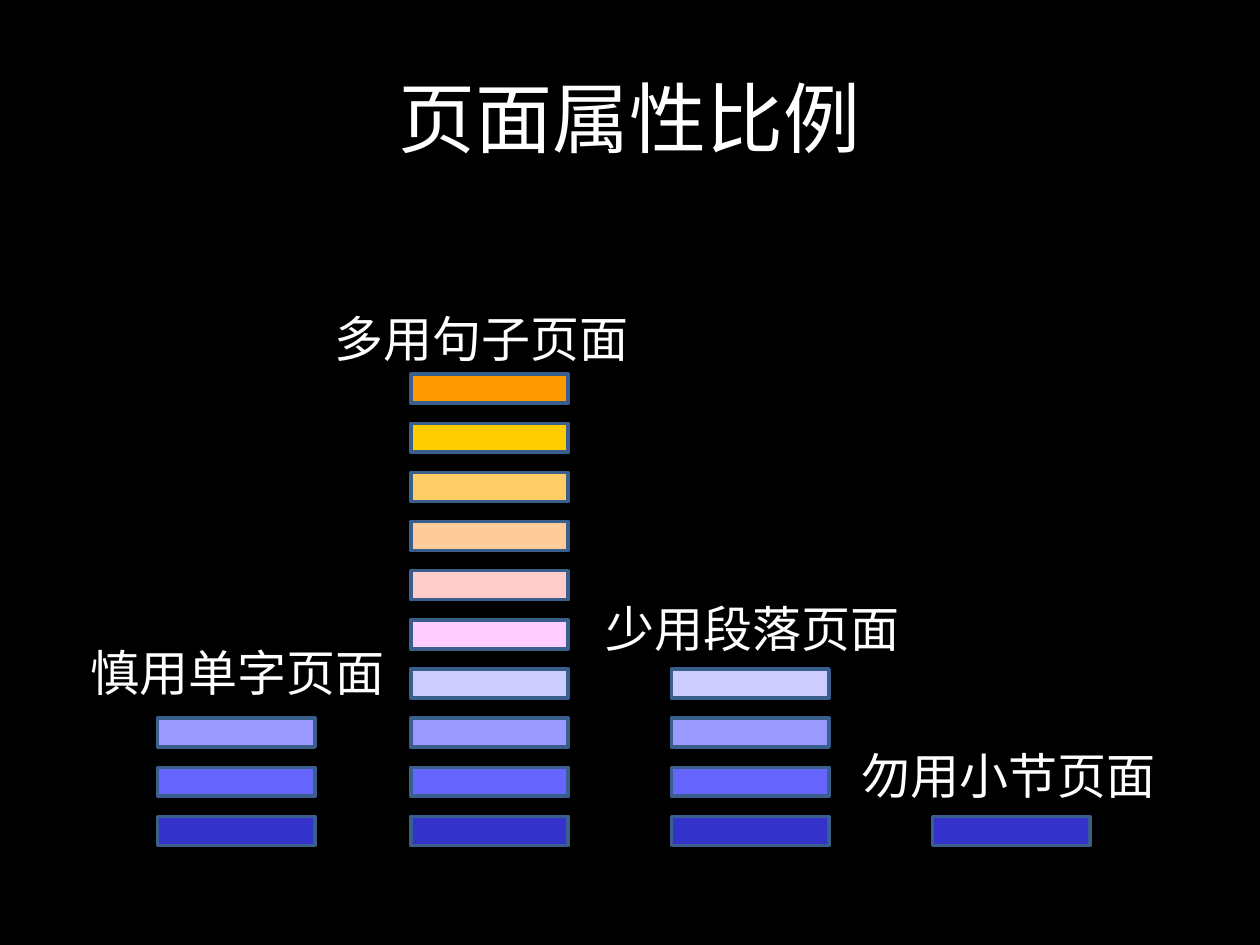
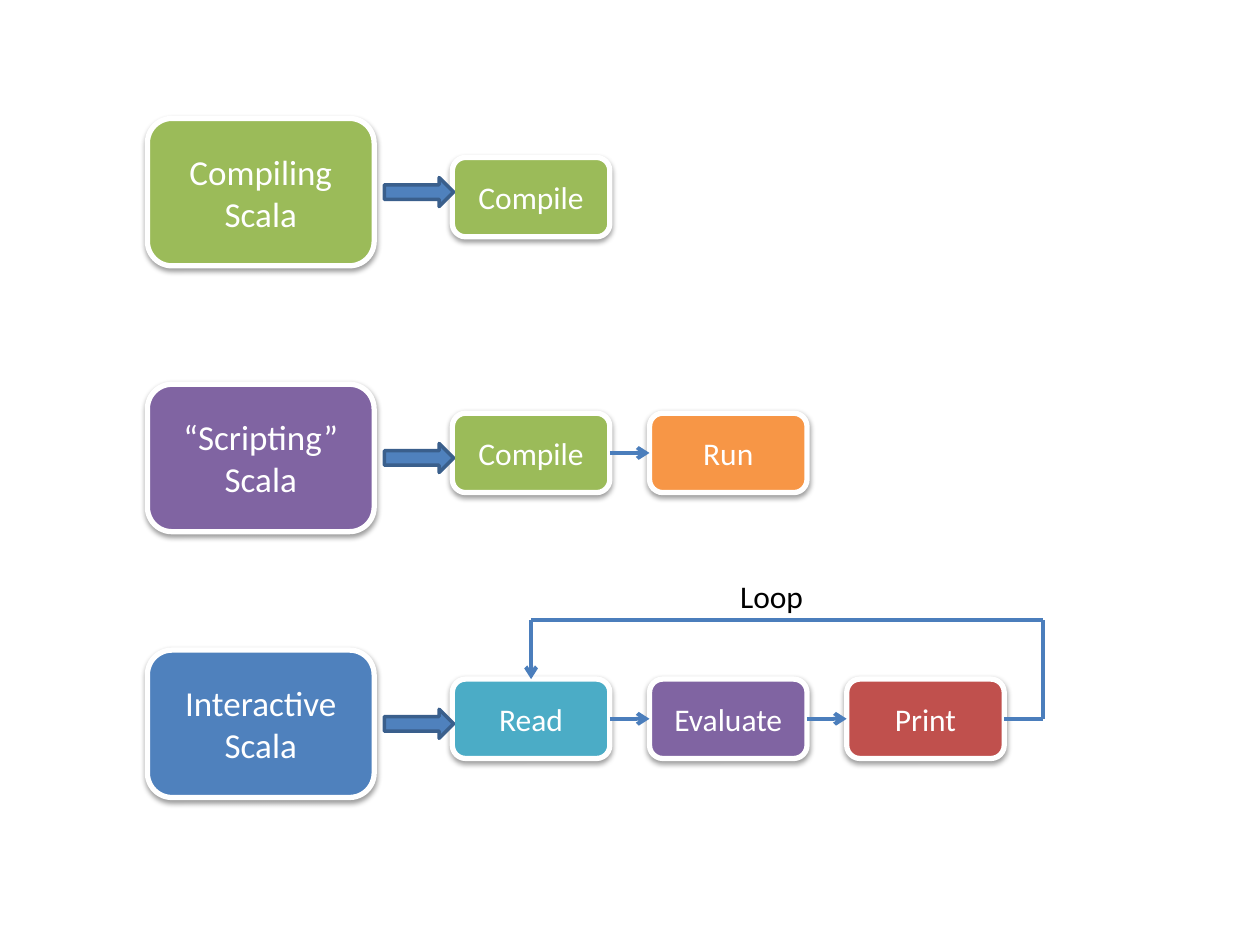
from itertools import pairwise

from lxml import etree
from pptx import Presentation
from pptx.dml.color import RGBColor
from pptx.enum import shapes, text
from pptx.oxml import ns, parse_xml
from pptx.util import Inches, Pt

BLACK = RGBColor(0x00, 0x00, 0x00)
WHITE = RGBColor(0xFF, 0xFF, 0xFF)
OUTLINE = RGBColor(0x3A, 0x5F, 0x8C)
CONNECTOR = RGBColor(0x4B, 0x7E, 0xBC)
BLUE = RGBColor(0x4F, 0x81, 0xBD)
GREEN = RGBColor(0x9B, 0xBB, 0x59)
PURPLE = RGBColor(0x80, 0x64, 0xA2)
ORANGE = RGBColor(0xF7, 0x96, 0x46)
TEAL = RGBColor(0x4B, 0xAC, 0xC6)
RED = RGBColor(0xC0, 0x50, 0x4D)
# Bar colours from the bottom of a stack to its top
BAR_COLOURS = [RGBColor.from_string(h) for h in (
    "3333CC", "6666FF", "9999FF", "CCCCFF", "FFCCFF",
    "FFCCCC", "FFCC99", "FFCC66", "FFCC00", "FF9900")]

LATIN = "Calibri"
CHINESE = "Noto Sans CJK SC"
BAR_W, BAR_H, BAR_PITCH = 1.25, 0.23, 0.39
MODE_W, MODE_H = 1.8, 1.17
STEP_W, STEP_H, STEP_PITCH = 1.25, 0.63, 1.565

SHADOW = f"""<a:effectLst {ns.nsdecls('a')}>
<a:outerShdw blurRad="39400" dist="20300" dir="5400000" rotWithShape="0">
<a:srgbClr val="000000"><a:alpha val="38000"/></a:srgbClr>
</a:outerShdw></a:effectLst>"""


def add_slide(prs, layout, background):
    s = prs.slides.add_slide(prs.slide_layouts[layout])
    s.background.fill.solid()
    s.background.fill.fore_color.rgb = background
    return s


def format_text(tf, size, colour, font, align=None):
    for p in tf.paragraphs:
        p.alignment = align
        for r in p.runs:
            r.font.size = Pt(size)
            r.font.color.rgb = colour
            r.font.name = font
            ea = etree.SubElement(r.font._element, ns.qn("a:ea"))
            ea.set("typeface", font)


def add_label(s, left, top, width, height, words, size, colour, font):
    tf = s.shapes.add_textbox(*map(Inches, (left, top, width, height))).text_frame
    tf.word_wrap = False
    tf.auto_size = text.MSO_AUTO_SIZE.SHAPE_TO_FIT_TEXT
    tf.text = words
    format_text(tf, size, colour, font)


def add_box(s, kind, left, top, width, height, fill, line, weight):
    sp = s.shapes.add_shape(kind, *map(Inches, (left, top, width, height)))
    sp.shadow.inherit = False
    sp.fill.solid()
    sp.fill.fore_color.rgb = fill
    sp.line.color.rgb = line
    sp.line.width = Pt(weight)
    return sp


def add_card(s, left, top, width, height, words, size, fill):
    """Rounded box with a white edge, a soft shadow and centred words."""
    sp = add_box(s, shapes.MSO_SHAPE.ROUNDED_RECTANGLE,
                 left, top, width, height, fill, WHITE, 3)
    properties = sp._element.spPr
    properties.replace(properties.find(ns.qn("a:effectLst")), parse_xml(SHADOW))
    tf = sp.text_frame
    tf.text = words
    tf.vertical_anchor = text.MSO_ANCHOR.MIDDLE
    format_text(tf, size, WHITE, LATIN, text.PP_ALIGN.CENTER)
    return sp


def add_link(s, start, end, source=None, target=None, arrow=False):
    """Straight line; source and target are (shape, connection site) pairs."""
    c = s.shapes.add_connector(shapes.MSO_CONNECTOR.STRAIGHT,
                               *map(Inches, (*start, *end)))
    if source:
        c.begin_connect(*source)
    if target:
        c.end_connect(*target)
    c.line.color.rgb = CONNECTOR
    c.line.width = Pt(2.25)
    if arrow:
        etree.SubElement(c.line._get_or_add_ln(), ns.qn("a:tailEnd"), type="arrow")
    etree.SubElement(c._element.spPr, ns.qn("a:effectLst"))


def bar_stack(s, left, bottom_top, count):
    """Pile up bars from the lowest one, whose top is bottom_top."""
    for i, colour in enumerate(BAR_COLOURS[:count]):
        add_box(s, shapes.MSO_SHAPE.RECTANGLE, left, bottom_top - i * BAR_PITCH,
                BAR_W, BAR_H, colour, OUTLINE, 2)


def mode_row(s, left, top, mode, colour, steps, step_drop):
    """A mode, a block arrow and its linked steps; returns the step cards."""
    add_card(s, left, top, MODE_W, MODE_H, mode, 20, colour)
    cards = [add_card(s, left + 2.42 + i * STEP_PITCH, top + step_drop,
                      STEP_W, STEP_H, words, 18, fill)
             for i, (words, fill) in enumerate(steps)]
    for a, b in pairwise(cards):
        add_link(s, (0, 0), (0, 0), (a, 3), (b, 1), arrow=True)
    add_box(s, shapes.MSO_SHAPE.RIGHT_ARROW, left + 1.88, top + 0.47,
            0.55, 0.23, BLUE, OUTLINE, 2)
    return cards


def loop_back(s, first, last):
    """Lead a line from the last card over the row back to the first."""
    x_first = (first.left + first.width / 2) / Inches(1)
    y_mid = (last.top + last.height / 2) / Inches(1)
    x_turn = (last.left + last.width) / Inches(1) + 0.31
    y_turn = first.top / Inches(1) - 0.47
    add_link(s, (0, 0), (x_turn, y_mid), source=(last, 3))
    add_link(s, (x_turn, y_mid), (x_turn, y_turn))
    add_link(s, (x_turn, y_turn), (x_first, y_turn))
    add_link(s, (x_first, y_turn), (0, 0), target=(first, 0), arrow=True)
    add_label(s, x_first + 1.56, y_turn - 0.39, 0.71, 0.4, "Loop", 18, BLACK, LATIN)


def page_ratio_slide(prs):
    s = add_slide(prs, 5, BLACK)
    title = s.shapes.title
    title.left, title.top, title.width, title.height = map(
        Inches, (0.5, 0.3, 9, 1.25))
    title.text_frame.text = "页面属性比例"
    title.text_frame.vertical_anchor = text.MSO_ANCHOR.MIDDLE
    format_text(title.text_frame, 44, WHITE, CHINESE, text.PP_ALIGN.CENTER)

    # words, bar count, bar left, label left, label top, label width
    for words, count, left, label_left, label_top, label_width in (
            ("慎用单字页面", 3, 1.25, 0.62, 5.05, 2.56),
            ("多用句子页面", 10, 3.26, 2.56, 2.4, 2.75),
            ("少用段落页面", 4, 5.33, 4.71, 4.7, 2.56),
            ("勿用小节页面", 1, 7.4, 6.74, 5.87, 2.56)):
        bar_stack(s, left, 6.48, count)
        add_label(s, label_left, label_top, label_width, 0.57,
                  words, 28, WHITE, CHINESE)


def scala_modes_slide(prs):
    s = add_slide(prs, 6, WHITE)
    compile_step = ("Compile", GREEN)
    modes = (
        ("Compiling\nScala", GREEN, [compile_step], 0.31),
        ("“Scripting”\nScala", PURPLE, [compile_step, ("Run", ORANGE)], 0.23),
        ("Interactive\nScala", BLUE,
         [("Read", TEAL), ("Evaluate", PURPLE), ("Print", RED)], 0.23))
    for i, mode in enumerate(modes):
        cards = mode_row(s, 1.17, 0.94 + i * 2.11, *mode)
    loop_back(s, cards[0], cards[-1])


def main():
    prs = Presentation()
    prs.slide_width, prs.slide_height = Inches(10), Inches(7.5)
    page_ratio_slide(prs)
    scala_modes_slide(prs)
    prs.save("out.pptx")


if __name__ == "__main__":
    main()
